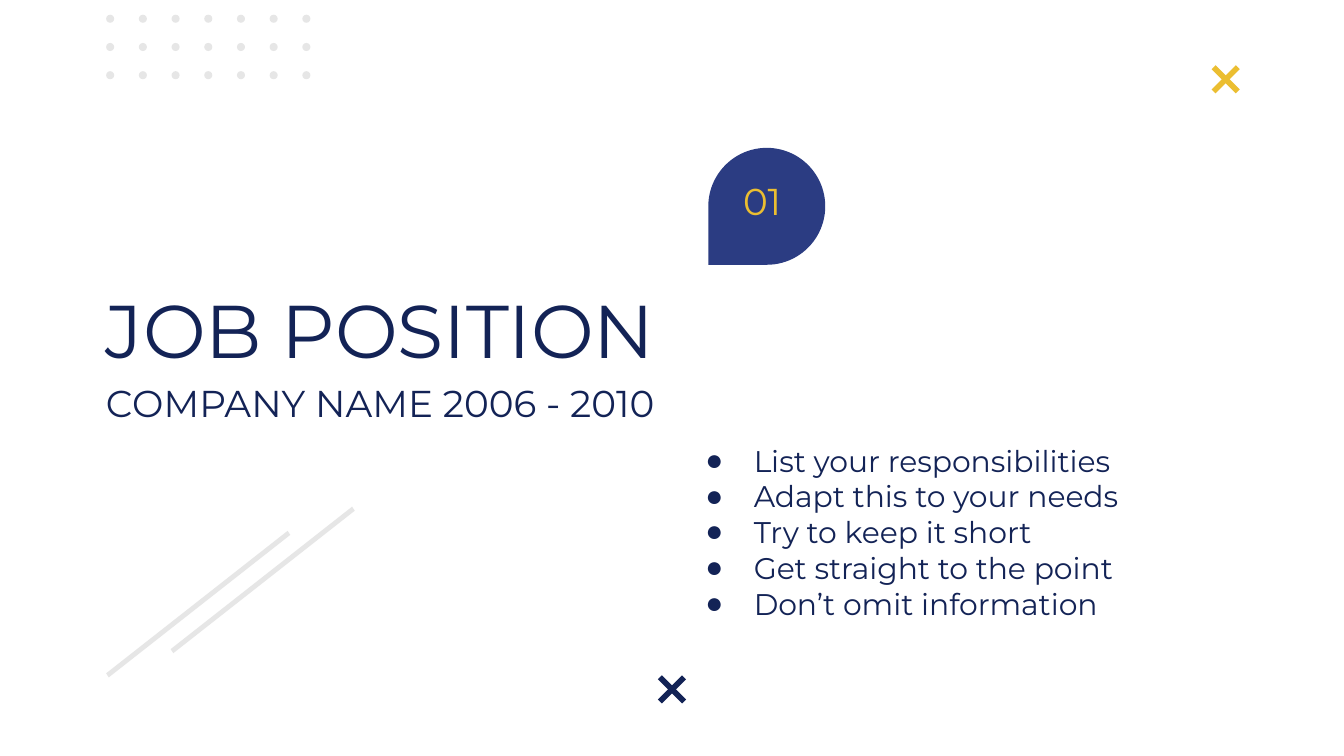
from dataclasses import dataclass

from lxml import etree
from pptx import Presentation, util as u
from pptx.dml.color import RGBColor
from pptx.enum import shapes, text
from pptx.oxml import ns


@dataclass(frozen=True)
class Theme:
    font: str = "Montserrat"
    mark: str = "Arial"
    navy: str = "132356"
    blue: str = "2B3C82"
    gold: str = "EBBE31"
    grey: str = "E6E6E6"
    title: int = 40
    head: int = 20
    body: int = 16


THEME = Theme()


def paint(shape, color):
    """Give a shape a flat fill with no line or shadow."""
    shape.shadow.inherit = False
    shape.fill.solid()
    shape.fill.fore_color.rgb = RGBColor.from_string(color)
    shape.line.fill.background()


def add_round(slide, kind, left, top, size, color):
    shape = slide.shapes.add_shape(
        kind, u.Inches(left), u.Inches(top), u.Inches(size), u.Inches(size))
    paint(shape, color)
    return shape


def add_cross(slide, left, top, size, color):
    right, low = left + size, top + size
    for start, end in ((top, low), (low, top)):
        line = slide.shapes.add_connector(
            shapes.MSO_CONNECTOR.STRAIGHT, u.Inches(right), u.Inches(start),
            u.Inches(left), u.Inches(end))
        line.line.color.rgb = RGBColor.from_string(color)
        line.line.width = u.Pt(3)
        etree.SubElement(line._element.spPr, ns.qn("a:effectLst"))


def add_slash(slide, left, top, color):
    """Draw a thin slanted bar from its top left corner."""
    edge = ((1.35, 0), (0, 1.06), (0.02, 1.09), (1.37, 0.03))
    points = [(u.Inches(left + x), u.Inches(top + y)) for x, y in edge]
    path = slide.shapes.build_freeform(*points[0], scale=1.0)
    path.add_line_segments(points[1:], close=True)
    paint(path.convert_to_shape(), color)


def add_bullet(para, color):
    props = para._p.get_or_add_pPr()
    props.set("marL", str(u.Inches(0.5)))
    props.set("indent", str(u.Inches(-0.36)))
    tint = etree.SubElement(props, ns.qn("a:buClr"))
    etree.SubElement(tint, ns.qn("a:srgbClr"), val=color)
    etree.SubElement(props, ns.qn("a:buFont"), typeface=THEME.mark)
    etree.SubElement(props, ns.qn("a:buChar"), char="●")


def add_text(slide, lines, box, *, size, color=THEME.navy,
             anchor=text.MSO_ANCHOR.TOP, bullets=False):
    frame = slide.shapes.add_textbox(*map(u.Inches, box)).text_frame
    frame.word_wrap = True
    frame.vertical_anchor = anchor
    frame.margin_left = frame.margin_right = u.Inches(0.1)
    frame.margin_top = frame.margin_bottom = u.Inches(0.1)
    frame.text = "\n".join(lines)
    for para in frame.paragraphs:
        if bullets:
            add_bullet(para, color)
        for run in para.runs:
            run.font.name = THEME.font
            run.font.size = u.Pt(size)
            run.font.color.rgb = RGBColor.from_string(color)


def main():
    deck = Presentation()
    deck.slide_width = u.Inches(10)
    deck.slide_height = u.Inches(10) * 9 // 16
    slide = deck.slides.add_slide(deck.slide_layouts[6])
    kinds, bottom = shapes.MSO_SHAPE, text.MSO_ANCHOR.BOTTOM

    # Dot grid
    for row in range(3):
        for col in range(7):
            add_round(slide, kinds.OVAL, 0.79 + col * 1.46 / 6,
                      0.11 + row * 0.21, 0.06, THEME.grey)

    # Crosses
    add_cross(slide, 9.03, 0.5, 0.18, THEME.gold)
    add_cross(slide, 4.91, 5.04, 0.18, THEME.navy)

    # Job title and employer
    add_text(slide, ["COMPANY NAME 2006 - 2010"], (0.69, 2.73, 4.87, 0.7),
             size=THEME.head)
    add_text(slide, ["JOB POSITION"], (0.69, 1.7, 4.72, 1.18),
             size=THEME.title, anchor=bottom)

    # Number badge, with its point at lower left
    badge = add_round(slide, kinds.TEAR, 5.27, 1.1, 0.87, THEME.blue)
    badge.rotation = 180
    add_text(slide, ["01"], (5.43, 1.19, 1.01, 0.57), size=THEME.head,
             color=THEME.gold, anchor=bottom)

    # Responsibilities
    duties = [
        "List your responsibilities",
        "Adapt this to your needs",
        "Try to keep it short",
        "Get straight to the point",
        "Don’t omit information",
    ]
    add_text(slide, duties, (5.01, 3.19, 4.61, 1.85), size=THEME.body,
             bullets=True)

    # Slanted bars
    for left, top in ((1.27, 3.77), (0.79, 3.95)):
        add_slash(slide, left, top, THEME.grey)

    deck.save("out.pptx")


if __name__ == "__main__":
    main()
